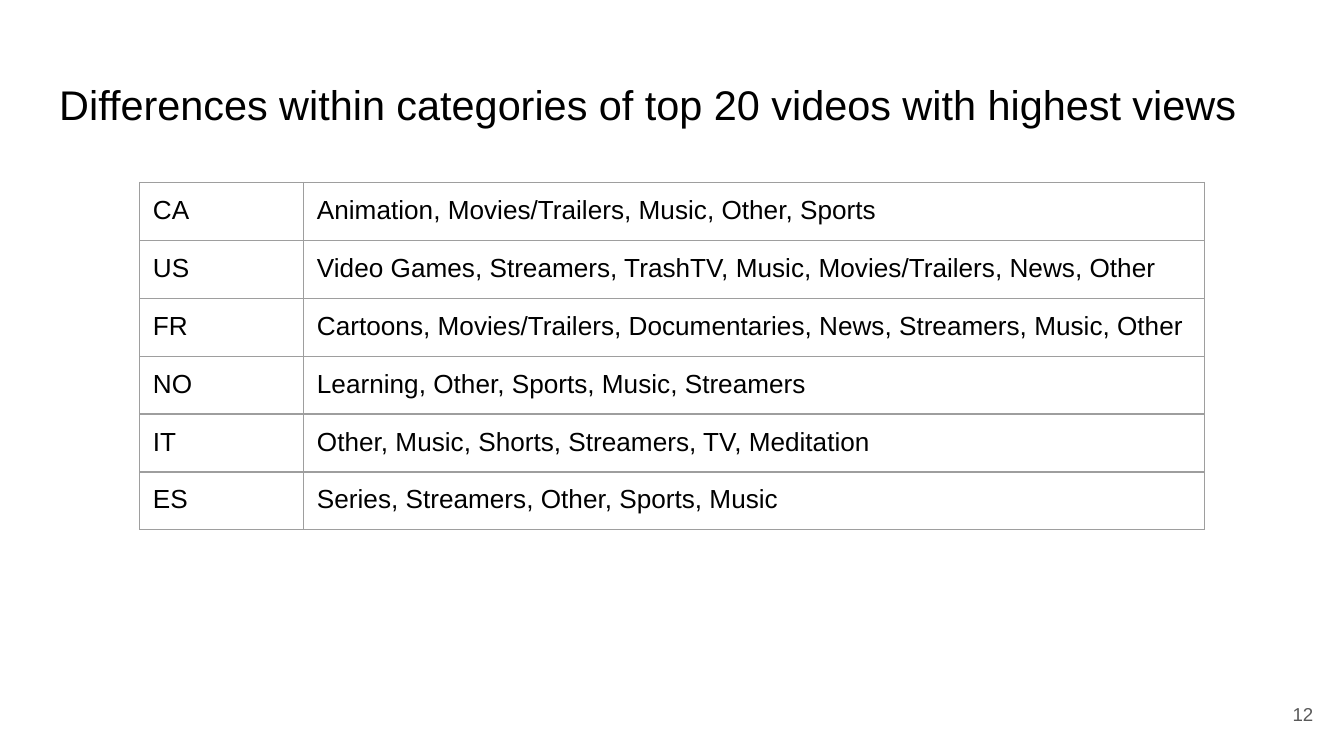
from dataclasses import dataclass

from lxml.etree import SubElement
from pptx import Presentation
from pptx.dml.color import RGBColor as RGB
from pptx.enum.text import MSO_ANCHOR as Anchor, PP_ALIGN as Align
from pptx.oxml.ns import qn
from pptx.util import Cm, Pt

HEADING = "Differences within categories of top 20 videos with highest views"
PAGE_NUMBER = "12"
COUNTRY_CATEGORIES = [
    ("CA", "Animation, Movies/Trailers, Music, Other, Sports"),
    ("US", "Video Games, Streamers, TrashTV, Music, Movies/Trailers, News, Other"),
    ("FR", "Cartoons, Movies/Trailers, Documentaries, News, Streamers, Music, Other"),
    ("NO", "Learning, Other, Sports, Music, Streamers"),
    ("IT", "Other, Music, Shorts, Streamers, TV, Meditation"),
    ("ES", "Series, Streamers, Other, Sports, Music"),
]


@dataclass(frozen=True)
class Theme:
    font: str = "Arial"
    ink: str = "000000"
    muted: str = "595959"
    paper: str = "FFFFFF"
    rule: str = "9E9E9E"
    rule_width: float = 0.75
    heading_size: float = 22.2
    body_size: float = 14
    number_size: float = 10


THEME = Theme()
INSET = Cm(0.25)
COLUMN_WIDTHS = [Cm(3.1), Cm(17.02)]
ROW_HEIGHT = Cm(1.06)


def write(frame, text, size=THEME.body_size, color=THEME.ink,
          align=Align.LEFT, anchor=Anchor.TOP):
    frame.word_wrap = True
    frame.vertical_anchor = anchor
    frame.margin_left = frame.margin_right = INSET
    frame.margin_top = frame.margin_bottom = INSET
    line = frame.paragraphs[0]
    line.text = text
    line.alignment = align
    line.font.name = THEME.font
    line.font.size = Pt(size)
    line.font.color.rgb = RGB.from_string(color)


def add_borders(cell):
    properties = cell._tc.get_or_add_tcPr()
    for position, side in enumerate(("lnL", "lnR", "lnT", "lnB")):
        border = properties.makeelement(
            qn(f"a:{side}"), {"w": str(Pt(THEME.rule_width))})
        fill = SubElement(border, qn("a:solidFill"))
        SubElement(fill, qn("a:srgbClr"), val=THEME.rule)
        properties.insert(position, border)


def add_categories(slide):
    grid = slide.shapes.add_table(
        len(COUNTRY_CATEGORIES), len(COLUMN_WIDTHS), Cm(2.64), Cm(3.45),
        sum(COLUMN_WIDTHS), ROW_HEIGHT * len(COUNTRY_CATEGORIES)).table
    grid.first_row = grid.horz_banding = False
    for column, width in zip(grid.columns, COLUMN_WIDTHS):
        column.width = width
    for row, entry in zip(grid.rows, COUNTRY_CATEGORIES):
        row.height = ROW_HEIGHT
        for cell, text in zip(row.cells, entry):
            write(cell.text_frame, text)
            cell.margin_left = cell.margin_right = INSET
            cell.margin_top = cell.margin_bottom = INSET
            cell.fill.background()
            add_borders(cell)


def main():
    deck = Presentation()
    deck.slide_width, deck.slide_height = Cm(25.4), Cm(14.29)
    slide = deck.slides.add_slide(deck.slide_layouts[6])
    slide.background.fill.solid()
    slide.background.fill.fore_color.rgb = RGB.from_string(THEME.paper)

    number = slide.shapes.add_textbox(Cm(23.55), Cm(12.95), Cm(1.52), Cm(1.09))
    write(number.text_frame, PAGE_NUMBER, size=THEME.number_size,
          color=THEME.muted, align=Align.RIGHT, anchor=Anchor.MIDDLE)
    add_categories(slide)
    heading = slide.shapes.add_textbox(Cm(0.87), Cm(1.24), Cm(23.67), Cm(2.57))
    write(heading.text_frame, HEADING, size=THEME.heading_size)

    deck.save("out.pptx")


if __name__ == "__main__":
    main()
